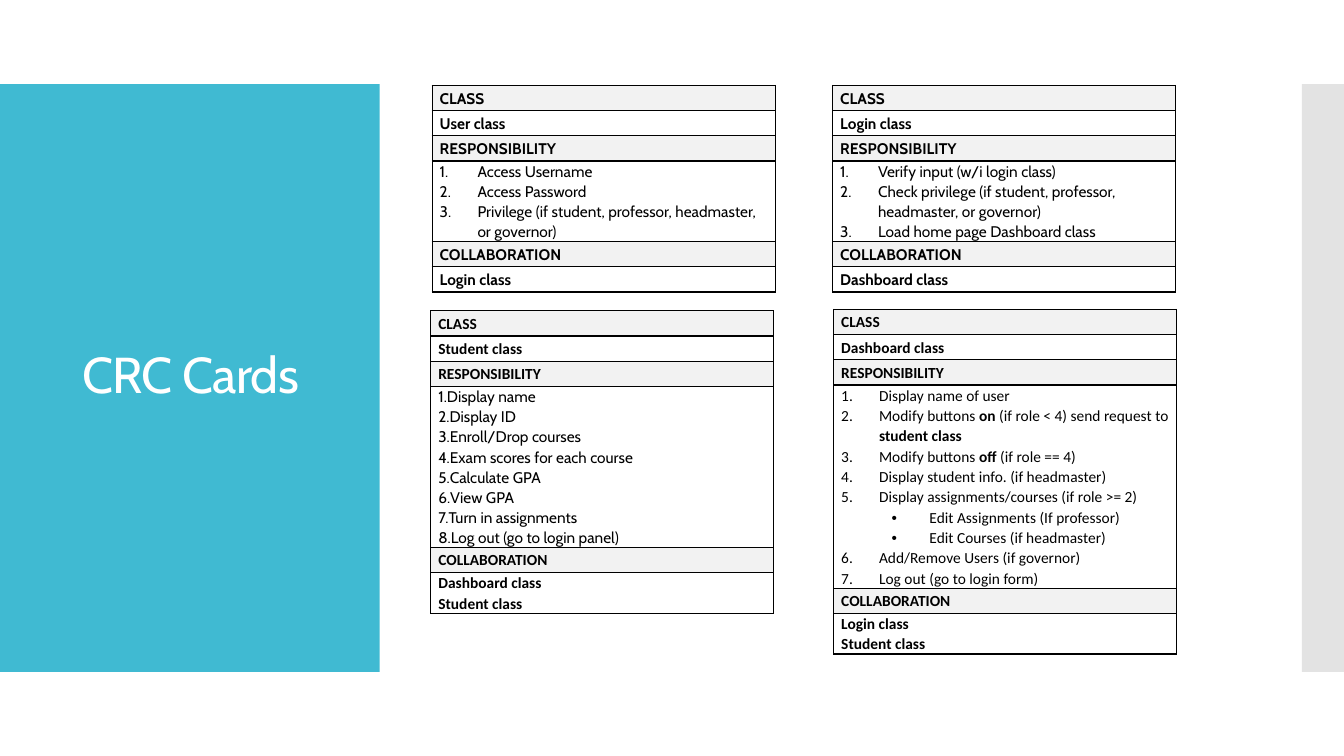
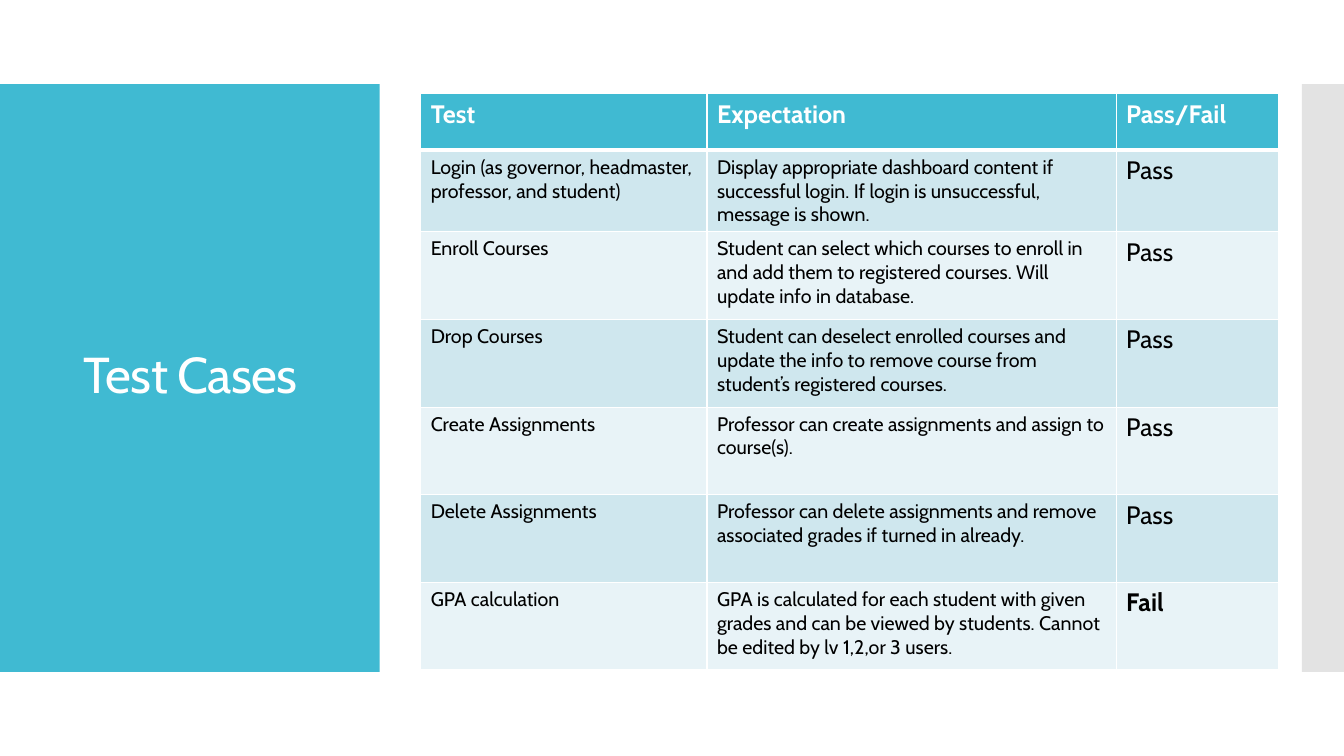
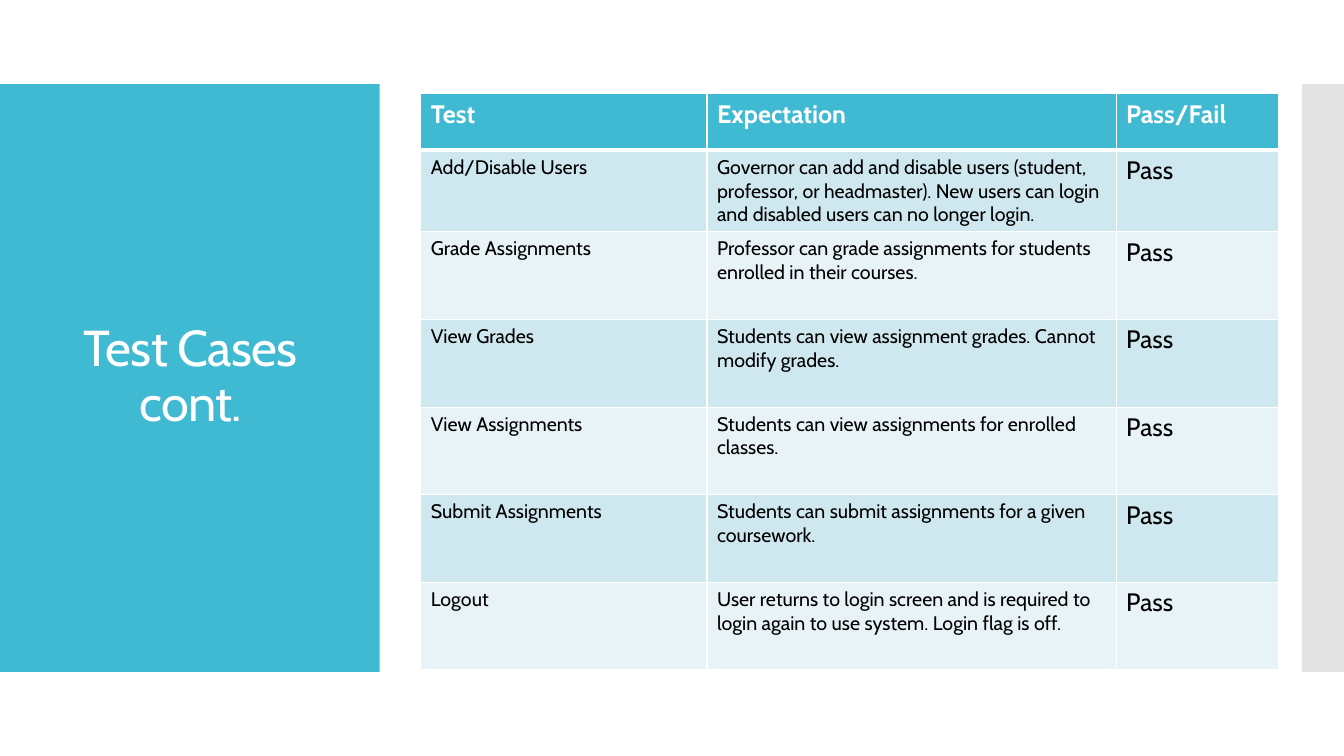
from dataclasses import dataclass

from lxml.etree import SubElement
from pptx import Presentation
from pptx.dml.color import RGBColor as RGB
from pptx.enum.shapes import MSO_SHAPE as SHAPE
from pptx.enum.text import MSO_ANCHOR as ANCHOR, MSO_AUTO_SIZE as AUTOSIZE
from pptx.oxml import parse_xml
from pptx.oxml.ns import nsdecls, qn
from pptx.util import Pt

COLORS = {
    "accent": "40BAD2", "side": "C8C8C8", "white": "FFFFFF", "black": "000000",
    "label": "F2F2F2", "band_dark": "CFE7EE", "band_light": "E8F3F7",
}
FONT, ALT_FONT = "Cabin", "Calibri"
INDENT = 27  # list indent, points


@dataclass(frozen=True)
class Band:
    left: float
    width: float
    color: str
    alpha: int = 100


@dataclass(frozen=True)
class Card:
    left: float
    top: float
    height: float
    name: str
    duties: tuple[str, ...]  # "- " marks a sub-item, ** toggles bold
    partners: tuple[str, ...]
    font: str = FONT
    list_font: str = FONT
    hanging: bool = True


@dataclass(frozen=True)
class Case:
    test: str
    expectation: str
    result: str = "Pass"


BANDS = (Band(0, 271.2, "accent"), Band(930, 30, "side", 50))

CARDS = (
    Card(594.8, 61, 146, "Login class",
         ("Verify input (w/i login class)",
          "Check privilege (if student, professor, headmaster, or governor)",
          "Load home page Dashboard class"),
         ("Dashboard class",)),
    Card(308.7, 61, 146, "User class",
         ("Access Username", "Access Password",
          "Privilege (if student, professor, headmaster, or governor)"),
         ("Login class",)),
    Card(307.7, 222, 212.4, "Student class",
         ("Display name", "Display ID", "Enroll/Drop courses",
          "Exam scores for each course", "Calculate GPA", "View GPA",
          "Turn in assignments", "Log out (go to login panel)"),
         ("Dashboard class", "Student class"), font=ALT_FONT, hanging=False),
    Card(595.5, 221, 241.2, "Dashboard class",
         ("Display name of user",
          "Modify buttons **on** (if role < 4) send request to **student class**",
          "Modify buttons **off** (if role == 4)",
          "Display student info. (if headmaster)",
          "Display assignments/courses (if role >= 2)",
          "- Edit Assignments (If professor)",
          "- Edit Courses (if headmaster)",
          "Add/Remove Users (if governor)",
          "Log out (go to login form)"),
         ("Login class", "Student class"), font=ALT_FONT, list_font=ALT_FONT),
)

TEST_SLIDES = {
    "Test Cases": (
        Case("Login (as governor, headmaster, professor, and student)",
             "Display appropriate dashboard content if successful login. "
             "If login is unsuccessful, message is shown."),
        Case("Enroll Courses",
             "Student can select which courses to enroll in and add them to "
             "registered courses. Will update info in database."),
        Case("Drop Courses",
             "Student can deselect enrolled courses and update the info to "
             "remove course from student\u2019s registered courses."),
        Case("Create Assignments",
             "Professor can create assignments and assign to course(s)."),
        Case("Delete Assignments",
             "Professor can delete assignments and remove associated grades "
             "if turned in already."),
        Case("GPA calculation",
             "GPA is calculated for each student with given grades and can be "
             "viewed by students. Cannot be edited by lv 1,2,or 3 users.", "Fail"),
    ),
    "Test Cases\vcont.": (
        Case("Add/Disable Users",
             "Governor can add and disable users (student, professor, or "
             "headmaster). New users can login and disabled users can no longer login."),
        Case("Grade Assignments",
             "Professor can grade assignments for students enrolled in their courses."),
        Case("View Grades",
             "Students can view assignment grades. Cannot modify grades."),
        Case("View Assignments",
             "Students can view assignments for enrolled classes."),
        Case("Submit Assignments",
             "Students can submit assignments for a given coursework."),
        Case("Logout",
             "User returns to login screen and is required to login again to "
             "use system. Login flag is off."),
    ),
}


def rgb(name: str) -> RGB:
    return RGB.from_string(COLORS[name])


# Shared look: bands and title style live on the layout
def style_layout(layout) -> None:
    for ph in list(layout.placeholders):
        if ph.placeholder_format.idx != 0:
            ph.element.getparent().remove(ph.element)
    title = layout.placeholders[0]
    title.left, title.top, title.width, title.height = (
        Pt(20.2), Pt(88.6), Pt(231.8), Pt(362.2))
    title.text_frame.vertical_anchor = ANCHOR.MIDDLE
    title.text_frame.auto_size = AUTOSIZE.NONE
    title.text_frame.word_wrap = True
    style = title.element.find(".//" + qn("a:lstStyle"))
    for child in list(style):
        style.remove(child)
    style.append(parse_xml(
        f'<a:lvl1pPr algn="ctr" {nsdecls("a")}>'
        '<a:lnSpc><a:spcPct val="90000"/></a:lnSpc>'
        '<a:defRPr sz="3600" b="0" cap="none" spc="-60">'
        f'<a:solidFill><a:srgbClr val="{COLORS["white"]}"/></a:solidFill>'
        f'<a:latin typeface="{FONT}"/></a:defRPr></a:lvl1pPr>'))


def add_band(slide, layout, band: Band) -> None:
    s = slide.shapes.add_shape(
        SHAPE.RECTANGLE, Pt(band.left), Pt(60), Pt(band.width), Pt(420))
    s.shadow.inherit = False
    s.line.fill.background()
    s.fill.solid()
    s.fill.fore_color.rgb = rgb(band.color)
    if band.alpha < 100:
        color = s.element.spPr.find(".//" + qn("a:srgbClr"))
        SubElement(color, qn("a:alpha"), val=str(band.alpha * 1000))
    layout.shapes.element.insert(2, s.element)


def add_slide(prs, layout, title: str):
    slide = prs.slides.add_slide(layout)
    slide.shapes.title.text_frame.text = title
    return slide


# Table helpers
def style_cell(cell, border: str, fill: str | None, bottom: float = 1,
               top: float = 1) -> None:
    tc_pr = cell._tc.get_or_add_tcPr()
    for side, width in (("L", 1), ("R", 1), ("T", top), ("B", bottom)):
        ln = SubElement(tc_pr, qn(f"a:ln{side}"), w=str(Pt(width)))
        solid = SubElement(ln, qn("a:solidFill"))
        SubElement(solid, qn("a:srgbClr"), val=COLORS[border])
    if fill:
        cell.fill.solid()
        cell.fill.fore_color.rgb = rgb(fill)
    else:
        cell.fill.background()


def style_run(r, font: str, size: float, color: str, bold: bool) -> None:
    r.font.name, r.font.size, r.font.bold = font, Pt(size), bold
    r.font.color.rgb = rgb(color)


def set_bullet(p, hanging: bool, sub: bool) -> None:
    p.level = int(sub)
    p_pr = p._p.get_or_add_pPr()
    left = INDENT + 36 * sub if hanging else 0
    p_pr.set("marL", str(Pt(left)))
    p_pr.set("indent", str(Pt(-INDENT)))
    if sub:
        SubElement(p_pr, qn("a:buFont"), typeface="Arial")
        SubElement(p_pr, qn("a:buChar"), char="\u2022")
    else:
        SubElement(p_pr, qn("a:buAutoNum"), type="arabicPeriod")


def add_table(slide, rows: int, cols: int, box: tuple[float, ...]):
    s = slide.shapes.add_table(rows, cols, *(Pt(v) for v in box))
    s.table.first_row = s.table.horz_banding = False
    return s


# CRC card: label rows alternate with content rows
def add_card(slide, card: Card) -> None:
    rows = (("CLASS",), (card.name,), ("RESPONSIBILITY",), card.duties,
            ("COLLABORATION",), card.partners)
    s = add_table(slide, len(rows), 1, (card.left, card.top, 245, card.height))
    for i, lines in enumerate(rows):
        s.table.rows[i].height = Pt(18)
        cell = s.table.cell(i, 0)
        style_cell(cell, "black", "label" if i % 2 == 0 else None)
        cell.vertical_anchor = ANCHOR.MIDDLE
        cell.margin_left = cell.margin_right = Pt(5.4)
        cell.margin_top = cell.margin_bottom = 0
        is_list = lines is card.duties
        tf = cell.text_frame
        for n, line in enumerate(lines):
            p = tf.add_paragraph() if n else tf.paragraphs[0]
            p.line_spacing = 1.07
            if is_list:
                set_bullet(p, card.hanging, line.startswith("- "))
            for k, part in enumerate(line.removeprefix("- ").split("**")):
                if part:
                    r = p.add_run()
                    r.text = part
                    style_run(r, card.list_font if is_list else card.font, 11,
                              "black", not is_list or k % 2 == 1)
    s.height = Pt(card.height)


# Test table: header row, then banded rows
def add_test_table(slide, cases: tuple[Case, ...]) -> None:
    s = add_table(slide, len(cases) + 1, 3, (300.5, 67, 612.8, 409.6))
    for col, width in zip(s.table.columns, (204.5, 292.3, 116)):
        col.width = Pt(width)
    rows = [("Test", "Expectation", "Pass/Fail")]
    rows += [(c.test, c.expectation, c.result) for c in cases]
    for i, texts in enumerate(rows):
        header = i == 0
        s.table.rows[i].height = Pt({0: 40.3, 1: 56.2}.get(i, 62.6))
        fill = "accent" if header else "band_dark" if i % 2 else "band_light"
        for j, text in enumerate(texts):
            cell = s.table.cell(i, j)
            style_cell(cell, "white", fill, bottom=3 if header else 1,
                       top=3 if i == 1 else 1)
            p = cell.text_frame.paragraphs[0]
            p.text = text
            style_run(p.runs[0], FONT, 18 if header or j == 2 else 14,
                      "white" if header else "black", header or text == "Fail")


prs = Presentation()
prs.slide_width, prs.slide_height = Pt(960), Pt(540)
title_layout = prs.slide_layouts[5]
style_layout(title_layout)

# Slide 1: CRC cards
crc = add_slide(prs, title_layout, "CRC Cards")
for band in BANDS:
    add_band(crc, title_layout, band)
for card in CARDS:
    add_card(crc, card)

# Slides 2 and 3: test cases
for title, cases in TEST_SLIDES.items():
    add_test_table(add_slide(prs, title_layout, title), cases)

prs.save("out.pptx")
